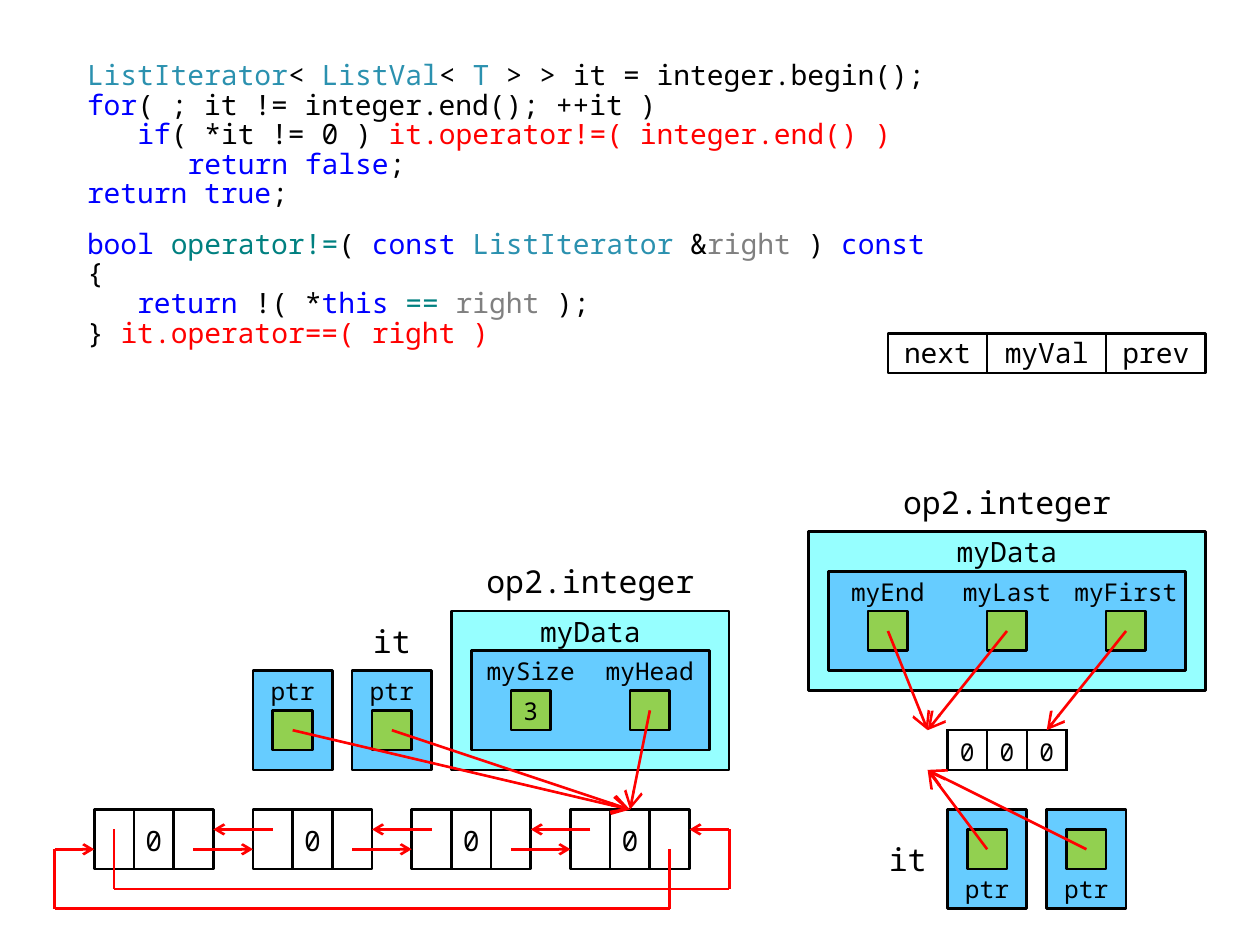
from lxml import etree
from pptx import Presentation
from pptx.dml.color import RGBColor
from pptx.enum.shapes import MSO_CONNECTOR, MSO_SHAPE
from pptx.enum.text import MSO_ANCHOR, MSO_AUTO_SIZE, PP_ALIGN
from pptx.oxml import parse_xml
from pptx.oxml.ns import nsdecls, qn
from pptx.util import Inches, Pt

PX = 7200
FONT = "Noto Sans Mono"
STRAIGHT = MSO_CONNECTOR.STRAIGHT
RECTANGLE = MSO_SHAPE.RECTANGLE
PROCESS = MSO_SHAPE.FLOWCHART_PROCESS
MIDDLE = MSO_ANCHOR.MIDDLE
CENTER = PP_ALIGN.CENTER

BLACK = RGBColor(0x00, 0x00, 0x00)
RED = RGBColor(0xFF, 0x00, 0x00)
BLUE = RGBColor(0x00, 0x00, 0xFF)
TYPE = RGBColor(0x2B, 0x91, 0xAF)
TEAL = RGBColor(0x00, 0x80, 0x80)
GRAY = RGBColor(0x80, 0x80, 0x80)
GREEN = RGBColor(0x92, 0xD0, 0x50)
SKY = RGBColor(0x66, 0xCC, 0xFF)
CYAN = RGBColor(0x96, 0xFF, 0xFF)

presentation = Presentation()
presentation.slide_width = Inches(10)
presentation.slide_height = Inches(7.5)
slide = presentation.slides.add_slide(presentation.slide_layouts[1])
title = slide.shapes.title
title.element.getparent().remove(title.element)


def add_box(preset, left, top, width, height, text="", size=14, fill=None, outline=True, shift=0):
    bounds = [value * PX for value in (left, top, width, height)]
    if preset is None:
        shape = slide.shapes.add_textbox(*bounds)
    else:
        shape = slide.shapes.add_shape(preset, *bounds)
        shape.shadow.inherit = False
        if fill is None:
            shape.fill.background()
        else:
            shape.fill.solid()
            shape.fill.fore_color.rgb = fill
        if outline:
            shape.line.color.rgb = BLACK
            shape.line.width = Pt(1.5)
        else:
            shape.line.fill.background()
    if text:
        frame = shape.text_frame
        frame.word_wrap = True
        frame.vertical_anchor = MIDDLE
        frame.margin_left = frame.margin_right = 5 * PX
        frame.margin_top = max(shift, 0) * PX
        frame.margin_bottom = max(-shift, 0) * PX
        paragraph = frame.paragraphs[0]
        paragraph.alignment = CENTER
        run = paragraph.add_run()
        run.text = text
        run.font.name = FONT
        run.font.size = Pt(size)
        run.font.color.rgb = BLACK
    return shape


def add_line(start, end, head=None, target=None):
    connector = slide.shapes.add_connector(STRAIGHT, *[value * PX for value in (*start, *end)])
    if target is not None:
        connector.end_connect(target, 0)
    connector.line.color.rgb = RED
    connector.line.width = Pt(1.5)
    if head:
        tail = etree.SubElement(connector.line._get_or_add_ln(), qn("a:tailEnd"))
        tail.set("type", "arrow")
        tail.set("w", head)
        tail.set("len", head)
    etree.SubElement(connector.element.spPr, qn("a:effectLst"))


code_lines = [
    [("ListIterator", TYPE), ("< ", BLACK), ("ListVal", TYPE), ("< ", BLACK), ("T", TYPE),
     (" > > it = integer.begin();", BLACK)],
    [("for", BLUE), ("( ; it != integer.end(); ++it )", BLACK)],
    [("   ", BLACK), ("if", BLUE), ("( *it != 0 ) ", BLACK), ("it.operator!=( integer.end() )", RED)],
    [("      ", BLACK), ("return false", BLUE), (";", BLACK)],
    [("return true", BLUE), (";", BLACK)],
    [("bool ", BLUE), ("operator!=", TEAL), ("( ", BLACK), ("const ", BLUE), ("ListIterator", TYPE),
     (" &", BLACK), ("right", GRAY), (" ) ", BLACK), ("const", BLUE)],
    [("{", BLACK)],
    [("   ", BLACK), ("return", BLUE), (" !( *", BLACK), ("this ", BLUE), ("== ", TEAL),
     ("right", GRAY), (" );", BLACK)],
    [("} ", BLACK), ("it.operator==( right )", RED)],
]
body = slide.placeholders[1]
body.left, body.top, body.width, body.height = 75 * PX, 56 * PX, 1120 * PX, 540 * PX
frame = body.text_frame
frame.word_wrap = True
frame.auto_size = MSO_AUTO_SIZE.NONE
frame.vertical_anchor = MSO_ANCHOR.TOP
for index, code_line in enumerate(code_lines):
    paragraph = frame.paragraphs[0] if index == 0 else frame.add_paragraph()
    properties = paragraph._p.get_or_add_pPr()
    properties.set("marL", "0")
    properties.set("indent", "0")
    etree.SubElement(properties, qn("a:buNone"))
    paragraph.line_spacing = 0.88
    paragraph.space_before = Pt(12 if index == 5 else 0)
    for text, color in code_line:
        run = paragraph.add_run()
        run.text = text
        run.font.name = FONT
        run.font.size = Pt(16)
        run.font.color.rgb = color

legend_left = 895
for text, width in (("next", 100), ("myVal", 120), ("prev", 100)):
    add_box(RECTANGLE, legend_left, 336, width, 40, text, 16, shift=-2)
    legend_left += width

containers = [
    (455, 616, [("mySize", "3"), ("myHead", "")]),
    (815, 536, [("myEnd", ""), ("myLast", ""), ("myFirst", "")]),
]
for left, top, fields in containers:
    inner_width = 120 * len(fields)
    center = left + 20 + inner_width // 2
    add_box(PROCESS, left, top, inner_width + 40, 160, fill=CYAN)
    add_box(None, center - 140, top - 60, 280, 60, "op2.integer", 18)
    add_box(None, center - 80, top, 160, 40, "myData", 16)
    add_box(PROCESS, left + 20, top + 40, inner_width, 100, fill=SKY)
    for column, (name, value) in enumerate(fields):
        field_left = left + 20 + 120 * column
        add_box(PROCESS, field_left, top + 40, 120, 40, name, outline=False)
        add_box(RECTANGLE, field_left + 40, top + 80, 40, 40, value, fill=GREEN)

for left, top, label_offset, pointer_offset in (
    (255, 676, 0, 40), (355, 676, 0, 40), (955, 816, 60, 20), (1055, 816, 60, 20),
):
    add_box(PROCESS, left, top, 80, 100, fill=SKY)
    add_box(PROCESS, left, top + label_offset, 80, 40, "ptr", outline=False)
    add_box(RECTANGLE, left + 20, top + pointer_offset, 40, 40, fill=GREEN)
for left, top in ((355, 616), (875, 836)):
    add_box(None, left, top, 80, 60, "it", 18)

for node in range(4):
    left = 95 + 160 * node
    add_box(RECTANGLE, left, 816, 40, 60)
    value_cell = add_box(RECTANGLE, left + 40, 816, 40, 60, "0", 16, shift=2)
    add_box(RECTANGLE, left + 80, 816, 40, 60)

table = slide.shapes.add_table(1, 3, 955 * PX, 736 * PX, 120 * PX, 40 * PX).table
table.first_row = False
table.horz_banding = False
for column in range(3):
    table.columns[column].width = 40 * PX
    cell = table.cell(0, column)
    cell.vertical_anchor = MIDDLE
    cell.margin_left = cell.margin_right = 8 * PX
    cell.margin_top = cell.margin_bottom = 5 * PX
    paragraph = cell.text_frame.paragraphs[0]
    paragraph.alignment = CENTER
    run = paragraph.add_run()
    run.text = "0"
    run.font.name = FONT
    run.font.size = Pt(14)
    run.font.color.rgb = BLACK
    properties = cell._tc.get_or_add_tcPr()
    for side in ("lnL", "lnR", "lnT", "lnB"):
        properties.append(parse_xml(
            f'<a:{side} {nsdecls("a")} w="19050"><a:solidFill><a:srgbClr val="{BLACK}"/>'
            f'</a:solidFill></a:{side}>'))
    cell.fill.background()

for gap in range(3):
    shift = 160 * gap
    add_line((275 + shift, 836), (215 + shift, 836), "med")
    add_line((195 + shift, 856), (255 + shift, 856), "med")
for route in (
    [(675, 856), (675, 916), (55, 916), (55, 856), (95, 856)],
    [(115, 836), (115, 896), (735, 896), (735, 836), (695, 836)],
):
    for start, end in zip(route, route[1:]):
        add_line(start, end, "med" if end == route[-1] else None)

for start in ((295, 736), (395, 736), (655, 716)):
    add_line(start, (635, 816), "lg", value_cell)
for start, end in (
    ((895, 636), (935, 736)), ((1015, 636), (935, 736)), ((1135, 636), (1055, 736)),
    ((995, 856), (935, 776)), ((1095, 856), (935, 776)),
):
    add_line(start, end, "lg")

presentation.save("out.pptx")
